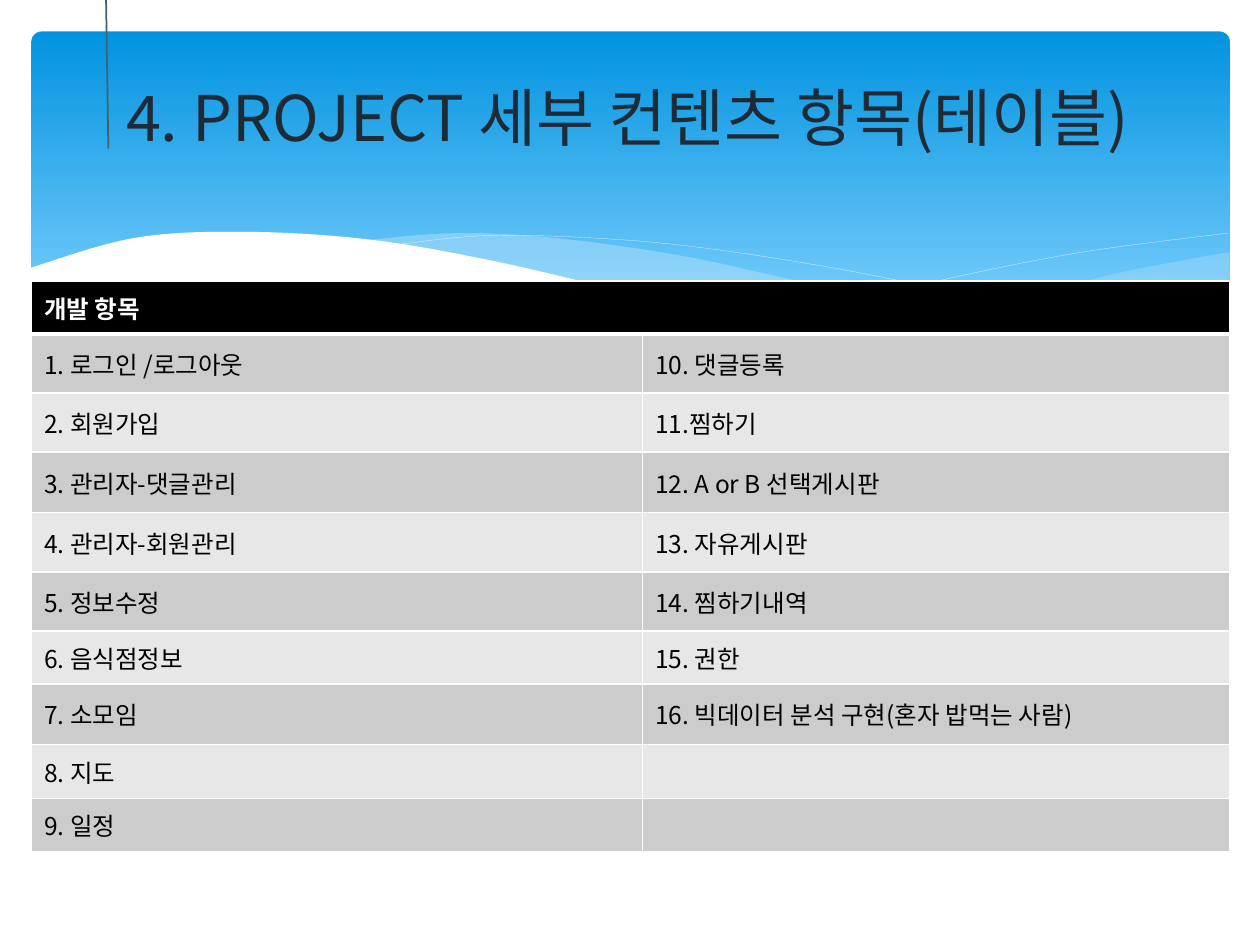
"""Build the project contents slide: a wave header, its title and the table of development items."""
from itertools import chain, zip_longest
from lxml.etree import SubElement
from pptx import Presentation
from pptx.dml.color import RGBColor
from pptx.enum.shapes import MSO_CONNECTOR, MSO_SHAPE
from pptx.enum.text import MSO_ANCHOR, MSO_AUTO_SIZE, PP_ALIGN
from pptx.oxml import parse_xml
from pptx.oxml.ns import nsdecls, qn
from pptx.util import Pt

PX = 9144
FONT = "Noto Sans CJK KR"
COLORS = {
    "sky_top": "0293E0", "sky_bottom": "83D3FE", "wave": "C6E7FC", "white": "FFFFFF",
    "rule": "3F626D", "title": "1D2B37", "black": "000000", "odd": "CCCCCC", "even": "E7E7E7",
}


def color(name):
    return RGBColor.from_string(COLORS[name])


def smooth_curve(knots, steps=8):
    """Return points of a Catmull-Rom spline through the knots, in EMU."""
    padded = [knots[0], *knots, knots[-1]]
    points = []
    for before, start, end, after in zip(padded, padded[1:], padded[2:], padded[3:]):
        for t in (step / steps for step in range(steps + 1)):
            points.append(tuple(
                PX * (2 * p1 + (p2 - p0) * t + (2 * p0 - 5 * p1 + 4 * p2 - p3) * t**2
                      + (3 * p1 - p0 - 3 * p2 + p3) * t**3) / 2
                for p0, p1, p2, p3 in zip(before, start, end, after)))
    return points


presentation = Presentation()
presentation.slide_width, presentation.slide_height = 1000 * PX, 750 * PX
slide = presentation.slides.add_slide(presentation.slide_layouts[5])
shapes = slide.shapes

LEFT, WIDTH = 25, 951
header = shapes.add_shape(MSO_SHAPE.ROUNDED_RECTANGLE, LEFT * PX, 25 * PX, WIDTH * PX, 270 * PX)
header.shadow.inherit = False
header.adjustments[0] = 0.03
header.line.fill.background()
header.fill.gradient()
header.fill.gradient_angle = 270
for stop, name, position in zip(header.fill.gradient_stops, ("sky_top", "sky_bottom"), (0, 0.9)):
    stop.color.rgb = color(name)
    stop.position = position

right_crest = [(976, 200), (891, 216), (805, 237), (661, 265)]
right_base = [(661, 265), (745, 275), (828, 278), (905, 269), (976, 247)]
middle_crest = [(286, 191), (361, 185), (442, 189), (541, 203), (629, 222), (775, 254), (893, 273)]
middle_base = [(893, 273), (807, 278), (695, 270), (566, 248), (449, 222), (286, 191)]
front_crest = [(977, 246), (899, 269), (809, 277), (708, 270), (603, 254), (503, 233),
               (391, 207), (292, 190), (193, 184), (106, 189), (23, 213)]
front_floor = [(23, 329), (977, 329)]
falling_line = [(309, 195), (387, 187), (489, 190), (582, 200), (695, 219), (795, 242), (907, 272)]
rising_line = [(613, 257), (695, 235), (776, 216), (866, 199), (975, 185)]

waves = [
    ([right_crest, right_base], "wave", 29),
    ([middle_crest, middle_base], "wave", 40),
    ([falling_line], None, None),
    ([rising_line], None, None),
    ([front_crest, front_floor], "white", 100),
]
for edges, fill_name, opacity in waves:
    points = list(chain.from_iterable(smooth_curve(edge) for edge in edges))
    builder = shapes.build_freeform(*points[0])
    builder.add_line_segments(points[1:], close=fill_name is not None)
    shape = builder.convert_to_shape()
    shape.shadow.inherit = False
    if fill_name:
        shape.line.fill.background()
        shape.fill.solid()
        shape.fill.fore_color.rgb = color(fill_name)
        fill_color = shape.element.spPr.find(".//" + qn("a:srgbClr"))
        SubElement(fill_color, qn("a:alpha")).set("val", str(opacity * 1000))
    else:
        shape.fill.background()
        shape.line.color.rgb = color("white")
        shape.line.width = Pt(0.1)

rule = shapes.add_connector(MSO_CONNECTOR.STRAIGHT, 84 * PX, -13 * PX, 86 * PX, 118 * PX)
rule.line.color.rgb = color("rule")
rule.line.width = Pt(1)
SubElement(rule.element.spPr, qn("a:effectLst"))

title = shapes.title
title.element.getparent().append(title.element)
title.left, title.top, title.width, title.height = 90 * PX, 45 * PX, 900 * PX, 88 * PX
frame_format = {"vertical_anchor": MSO_ANCHOR.MIDDLE, "word_wrap": True, "auto_size": MSO_AUTO_SIZE.NONE}
for name, value in frame_format.items():
    setattr(title.text_frame, name, value)
title_paragraph = title.text_frame.paragraphs[0]
title_paragraph.alignment = PP_ALIGN.LEFT
title_paragraph.line_spacing = 1.1

title_format = {"size": Pt(36), "name": FONT}
heading_format = {"size": Pt(14), "name": FONT, "bold": True}
item_format = {"size": Pt(14), "name": FONT, "bold": False}
texts = [(title_paragraph, "4. PROJECT 세부 컨텐츠 항목(테이블)", "title", title_format)]

left_items = ["1. 로그인 /로그아웃", "2. 회원가입", "3. 관리자-댓글관리", "4. 관리자-회원관리", "5. 정보수정",
              "6. 음식점정보", "7. 소모임", "8. 지도", "9. 일정"]
right_items = ["10. 댓글등록", "11.찜하기", "12. A or B 선택게시판", "13. 자유게시판", "14. 찜하기내역",
               "15. 권한", "16. 빅데이터 분석 구현(혼자 밥먹는 사람)"]
rows = [("개발 항목", ""), *zip_longest(left_items, right_items, fillvalue="")]
row_heights = [42, 47, 47, 48, 47, 47, 42, 48, 43, 42]
column_widths = [485, 466]

table = shapes.add_table(len(rows), len(column_widths), LEFT * PX, 223 * PX,
                         WIDTH * PX, sum(row_heights) * PX).table
table.first_row = table.horz_banding = False
for column, width in zip(table.columns, column_widths):
    column.width = width * PX

for row_index, (items, height) in enumerate(zip(rows, row_heights)):
    table.rows[row_index].height = height * PX
    heading = row_index == 0
    fill_name = "black" if heading else "odd" if row_index % 2 else "even"
    borders = {"L": 1, "R": 1, "T": 3 if row_index == 1 else 1, "B": 3 if heading else 1}
    for column_index, item in enumerate(items):
        cell = table.cell(row_index, column_index)
        cell.vertical_anchor = MSO_ANCHOR.MIDDLE
        properties = cell._tc.get_or_add_tcPr()
        for side, points in borders.items():
            properties.append(parse_xml(
                f'<a:ln{side} {nsdecls("a")} w="{Pt(points)}"><a:solidFill>'
                f'<a:srgbClr val="{COLORS["white"]}"/></a:solidFill></a:ln{side}>'))
        cell.fill.solid()
        cell.fill.fore_color.rgb = color(fill_name)
        if item:
            texts.append((cell.text_frame.paragraphs[0], item, "white" if heading else "black",
                          heading_format if heading else item_format))
table.cell(0, 0).merge(table.cell(0, 1))

for paragraph, text, color_name, font_format in texts:
    run = paragraph.add_run()
    run.text = text
    for name, value in font_format.items():
        setattr(run.font, name, value)
    run.font.color.rgb = color(color_name)
    SubElement(run.font._element, qn("a:ea")).set("typeface", FONT)

presentation.save("out.pptx")
